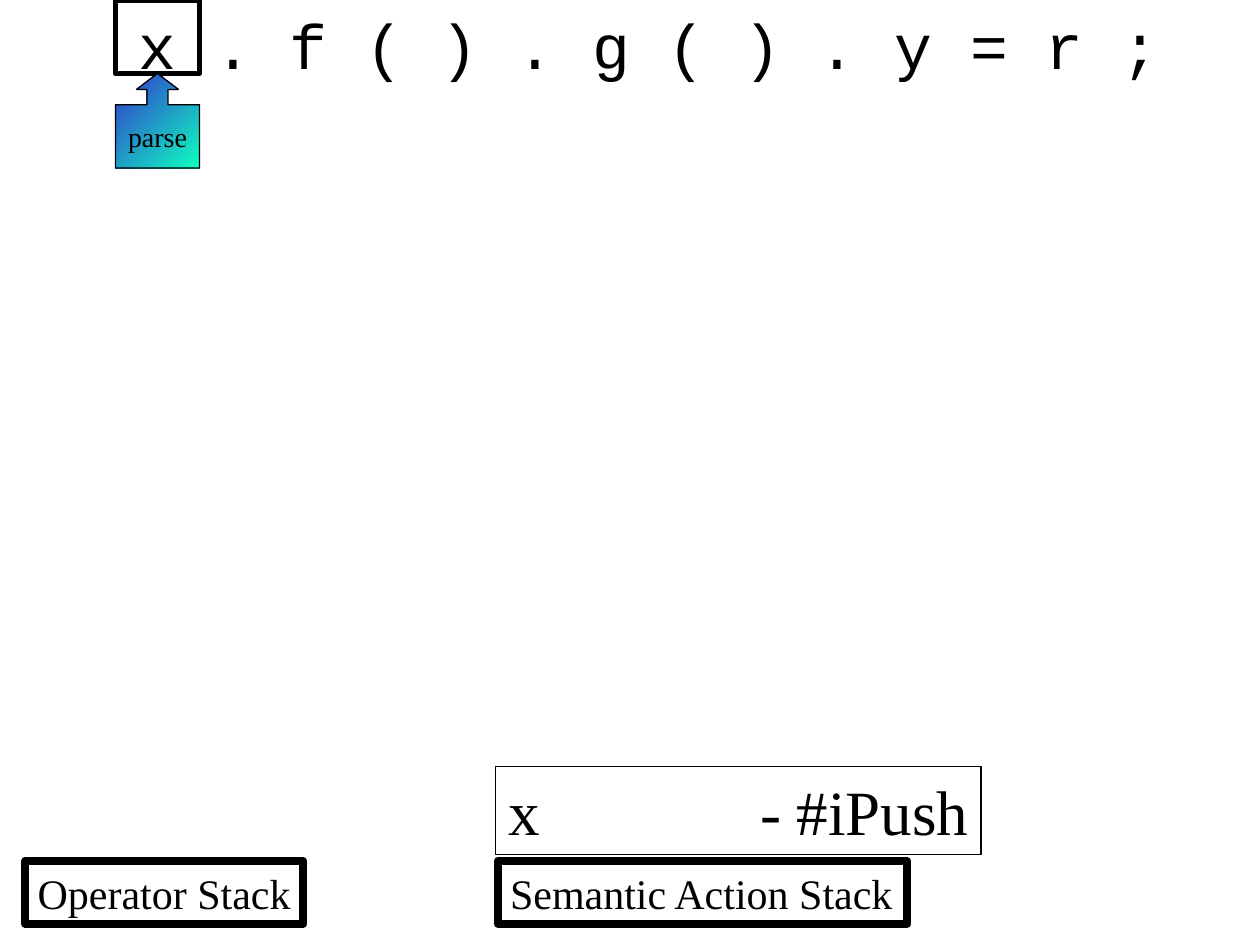
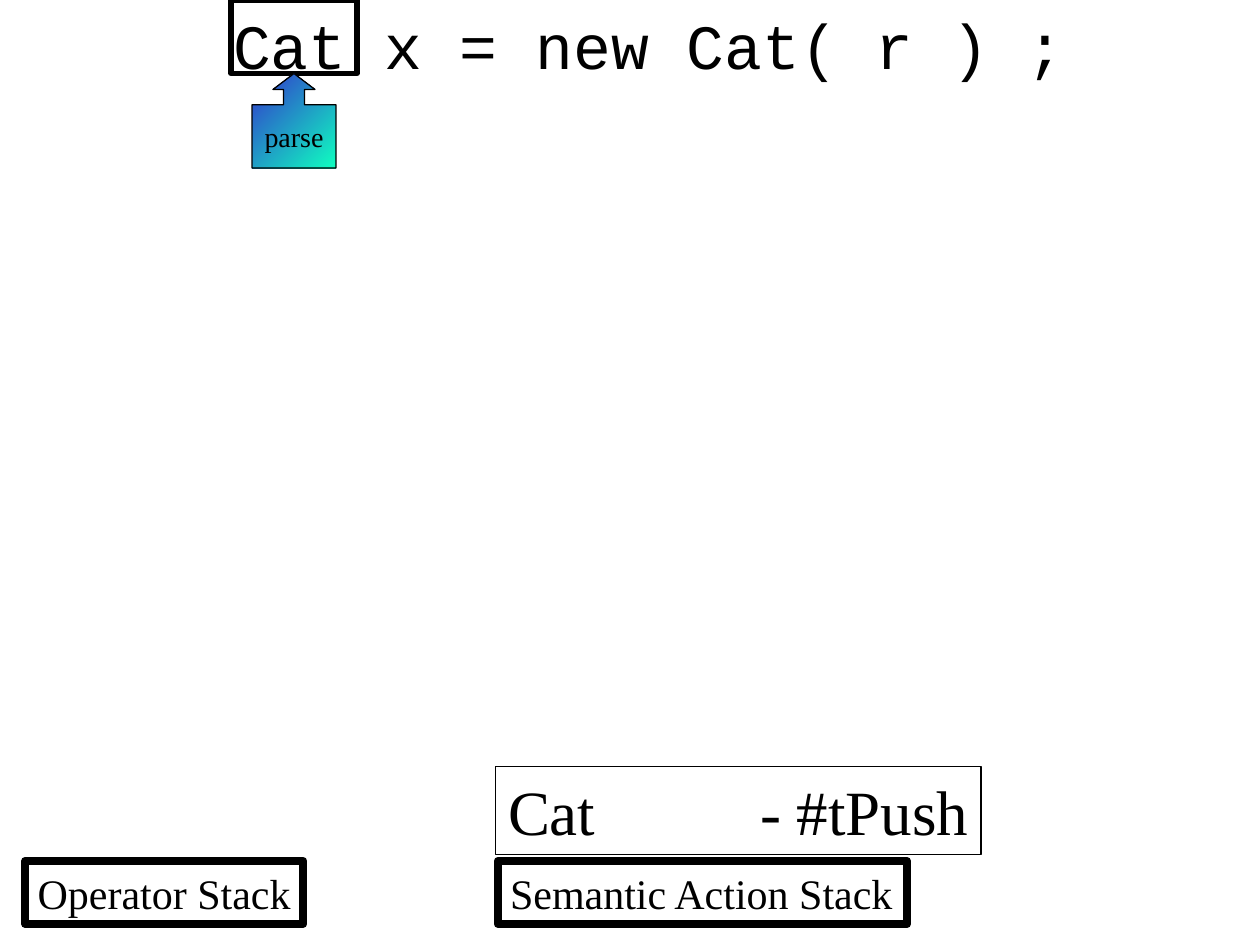
"""Build two slides that show a parser pushing its first token on a stack."""
from collections import namedtuple

from pptx import Presentation
from pptx.dml.color import RGBColor as RGB
from pptx.enum.shapes import MSO_SHAPE as SHAPE
from pptx.enum.text import MSO_ANCHOR as ANCHOR, MSO_AUTO_SIZE as FIT, PP_ALIGN as ALIGN
from pptx.oxml.xmlchemy import OxmlElement as element
from pptx.util import Inches, Pt

COLORS = {"ink": "000000", "blue": "3333CC", "mint": "0FFFC0"}
CODE, SERIF = "Courier New", "Times New Roman"
WIDTH, HEIGHT = Inches(10), Inches(7.5)
COLS, ROWS = 120, 90

Box = namedtuple("Box", "x y w h")
CODE_LINE = Box(0, 0, COLS, 8.4)
STACKS = {"Operator Stack": Box(2.4, 82, 26.5, 6),
          "Semantic Action Stack": Box(47.4, 82, 39, 6)}
ENTRY = Box(47.2, 73, 46.2, 8.4)

SLIDES = [
    {"code": " x . f ( ) . g ( ) . y = r ;", "token": "x",
     "action": "#iPush", "marker": Box(11, 0, 8, 16)},
    {"code": " Cat x = new Cat( r ) ;", "token": "Cat",
     "action": "#tPush", "marker": Box(22, 0, 12, 16)},
]


def color(name):
    """Return a named colour."""
    return RGB.from_string(COLORS[name])


def place(box):
    """Turn a box in grid columns and rows into slide lengths."""
    col, row = WIDTH / COLS, HEIGHT / ROWS
    return [int(n) for n in (box.x * col, box.y * row, box.w * col, box.h * row)]


def add_tabs(p, stops):
    """Add left tab stops, in inches, to a paragraph."""
    tabs = element("a:tabLst")
    for stop in stops:
        tab = element("a:tab")
        tab.set("pos", str(Inches(stop)))
        tab.set("algn", "l")
        tabs.append(tab)
    p._p.get_or_add_pPr().append(tabs)


def write(sp, text, size, font=SERIF, align=ALIGN.LEFT, anchor=ANCHOR.TOP,
          wrap=False, fit=FIT.SHAPE_TO_FIT_TEXT, tabs=()):
    """Write one formatted paragraph in a shape."""
    tf = sp.text_frame
    tf.word_wrap, tf.auto_size, tf.vertical_anchor = wrap, fit, anchor
    p = tf.paragraphs[0]
    p.alignment = align
    if tabs:
        add_tabs(p, tabs)
    r = p.add_run()
    r.text = text
    r.font.name, r.font.size = font, Pt(size)
    r.font.color.rgb = color("ink")


def add_outline(shapes, kind, box, line):
    """Add an unfilled preset shape with a black outline."""
    sp = shapes.add_shape(kind, *place(box))
    sp.shadow.inherit = False
    sp.fill.background()
    sp.line.color.rgb = color("ink")
    sp.line.width = Pt(line)
    return sp


def add_code_line(s, box, code):
    """Add the statement that is being parsed."""
    sp = s.shapes.add_textbox(*place(box))
    write(sp, code, 36, font=CODE, align=ALIGN.CENTER, wrap=True)


def add_stack_labels(s, stacks):
    """Add the label at the foot of each stack."""
    for name, box in stacks.items():
        write(add_outline(s.shapes, SHAPE.RECTANGLE, box, 4.5), name, 24)


def add_stack_entry(s, box, token, action):
    """Add a token and its semantic action on top of a stack label."""
    sp = add_outline(s.shapes, SHAPE.RECTANGLE, box, 1)
    write(sp, f"{token}\t\t- {action}", 36, tabs=range(1, 8))


def add_parse_marker(s, box):
    """Frame the current token and centre the parse callout under it."""
    shapes = s.shapes.add_group_shape().shapes
    frame_h, callout_w = 7, 8
    add_outline(shapes, SHAPE.RECTANGLE, box._replace(h=frame_h), 3)
    below = Box(box.x + (box.w - callout_w) / 2, box.y + frame_h,
                callout_w, box.h - frame_h)
    sp = add_outline(shapes, SHAPE.UP_ARROW_CALLOUT, below, 0.75)
    for i, value in enumerate((0.25, 0.25, 0.19, 0.67)):
        sp.adjustments[i] = value
    sp.fill.gradient()
    sp.fill.gradient_angle = 315
    for stop, name, position in zip(sp.fill.gradient_stops, ("blue", "mint"), (0, 1)):
        stop.color.rgb = color(name)
        stop.position = position
    write(sp, "parse", 16, align=ALIGN.CENTER, anchor=ANCHOR.MIDDLE, fit=FIT.NONE)


def add_parse_slide(prs, code, token, action, marker):
    """Add one parser step with its code line, stacks and marker."""
    s = prs.slides.add_slide(prs.slide_layouts[6])
    add_code_line(s, CODE_LINE, code)
    add_stack_labels(s, STACKS)
    add_parse_marker(s, marker)
    add_stack_entry(s, ENTRY, token, action)


def main():
    """Build and save the presentation."""
    prs = Presentation()
    prs.slide_width, prs.slide_height = WIDTH, HEIGHT
    for step in SLIDES:
        add_parse_slide(prs, **step)
    prs.save("out.pptx")


if __name__ == "__main__":
    main()
